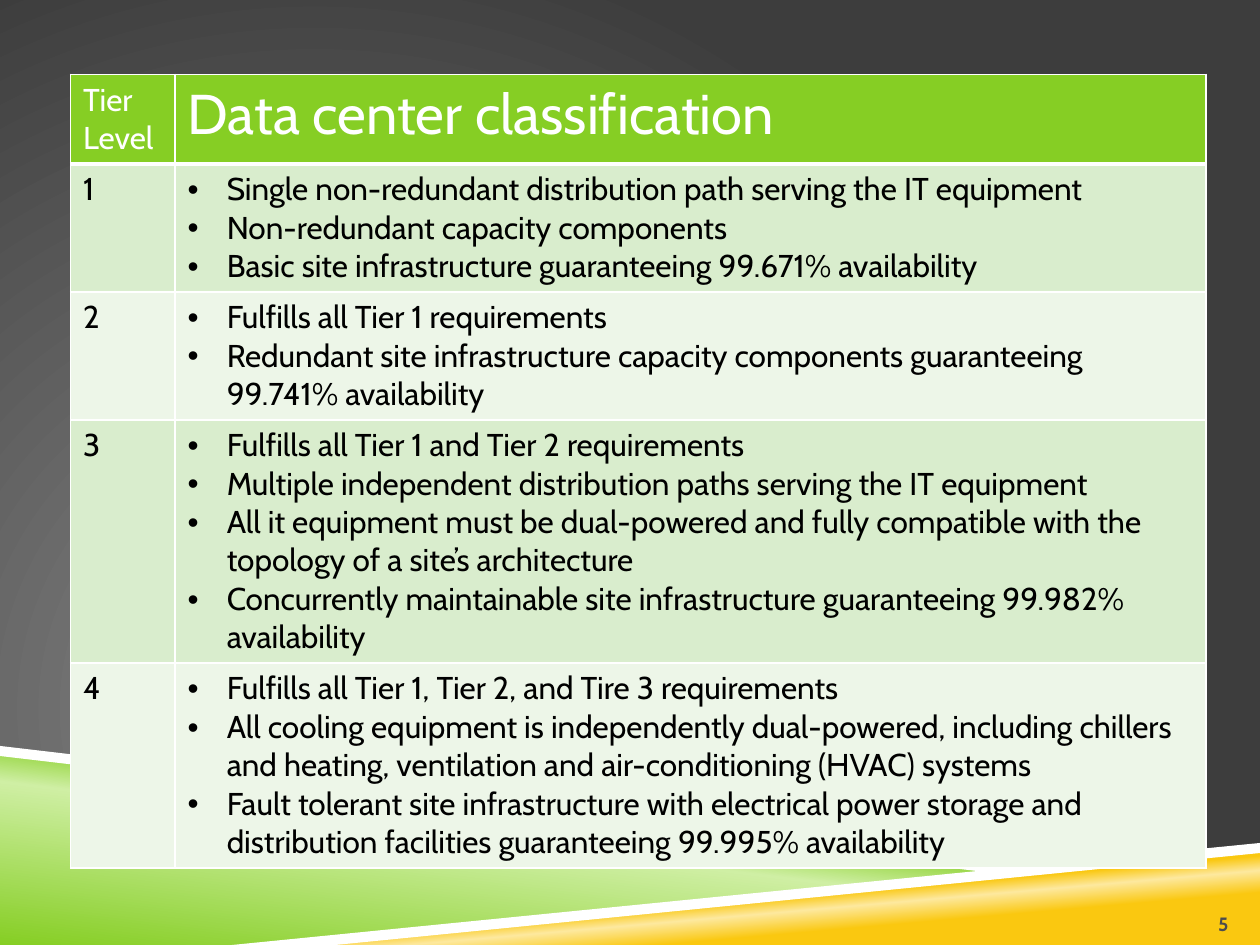
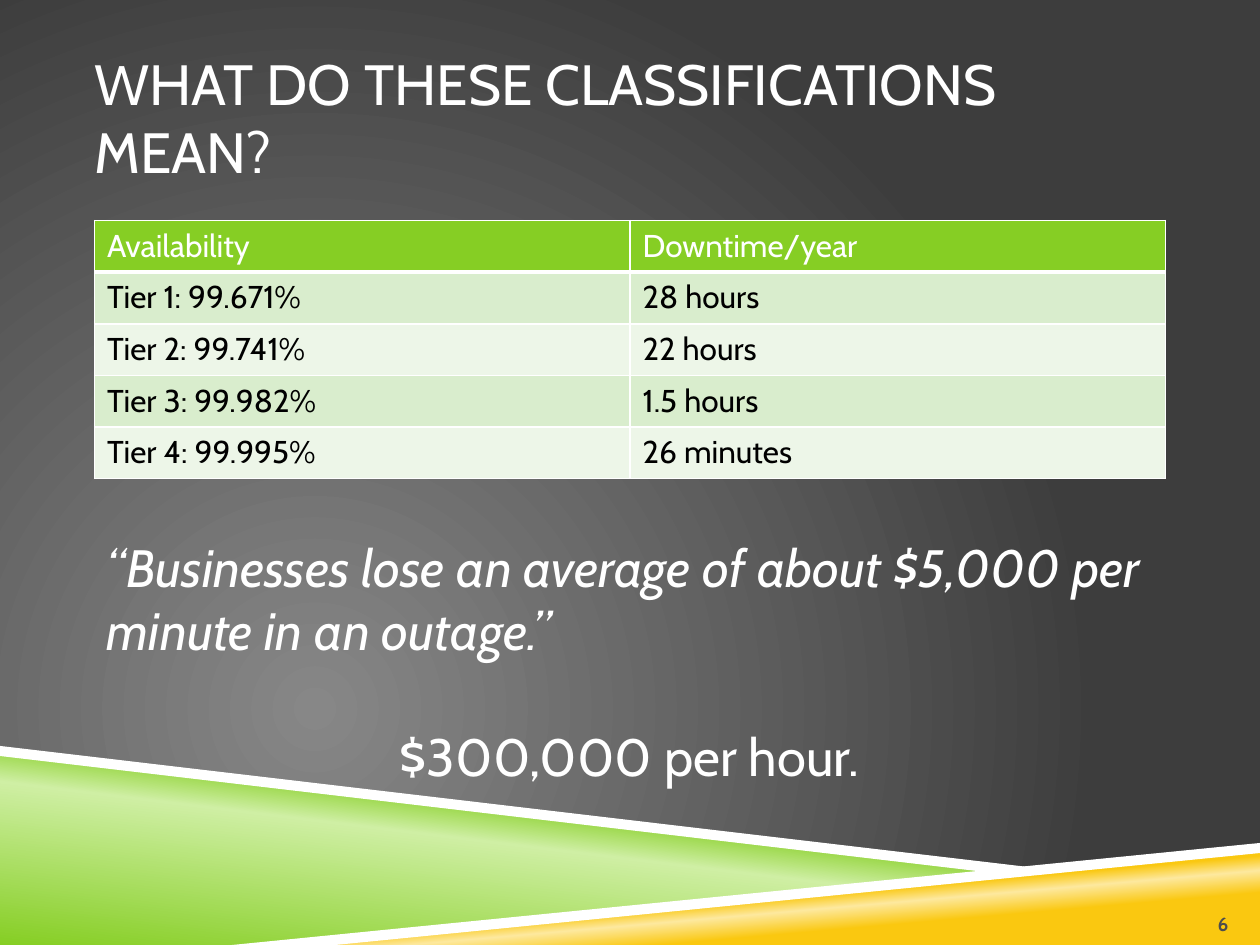
from lxml.etree import SubElement
from pptx import Presentation
from pptx.dml.color import RGBColor
from pptx.enum.text import MSO_ANCHOR, MSO_AUTO_SIZE, PP_ALIGN
from pptx.oxml import parse_xml
from pptx.oxml.ns import nsdecls, qn
from pptx.util import Inches, Pt

WHITE = RGBColor(0xFF, 0xFF, 0xFF)
BLACK = RGBColor(0x00, 0x00, 0x00)
NUMBER_GRAY = RGBColor(0x4D, 0x4D, 0x4D)
GLOW_GRAY = RGBColor(0x87, 0x87, 0x87)
DARK_GRAY = RGBColor(0x3D, 0x3D, 0x3D)
GREEN = RGBColor(0x86, 0xCE, 0x24)
PALE_GREEN = RGBColor(0xCF, 0xEF, 0xA4)
YELLOW = RGBColor(0xFA, 0xC8, 0x10)
PALE_YELLOW = RGBColor(0xFD, 0xE9, 0x9F)
ROW_TINTS = (RGBColor(0xD9, 0xED, 0xCD), RGBColor(0xED, 0xF6, 0xE8))

FIRST_NUMBER = 5
GLOW = ('<a:path path="circle"><a:fillToRect l="50000" t="100000" '
        'r="100000" b="50000"/></a:path>')
GREEN_STOPS = ((0, GREEN), (52, PALE_GREEN), (66, GREEN))
YELLOW_STOPS = ((28, YELLOW), (40, PALE_YELLOW), (48, YELLOW))
GREEN_WEDGE = ((0, 5.97), (7.92, 6.92), (2, 7.5), (0, 7.5))
YELLOW_WEDGE = ((1.98, 7.5), (10, 6.72), (10, 7.5))
FALLING_STRIPE = ((0, 5.92), (0, 6), (7.9, 6.93), (8.32, 6.9))
RISING_STRIPE = ((10, 6.69), (1.84, 7.5), (2.66, 7.5), (10, 6.77))

TIERS = (
    ("Single non-redundant distribution path serving the IT equipment",
     "Non-redundant capacity components",
     "Basic site infrastructure guaranteeing 99.671% availability"),
    ("Fulfills all Tier 1 requirements",
     "Redundant site infrastructure capacity components guaranteeing "
     "99.741% availability"),
    ("Fulfills all Tier 1 and Tier 2 requirements",
     "Multiple independent distribution paths serving the IT equipment",
     "All it equipment must be dual-powered and fully compatible with the "
     "topology of a site’s architecture",
     "Concurrently maintainable site infrastructure guaranteeing 99.982% "
     "availability"),
    ("Fulfills all Tier 1, Tier 2, and Tire 3 requirements",
     "All cooling equipment is independently dual-powered, including chillers "
     "and heating, ventilation and air-conditioning (HVAC) systems",
     "Fault tolerant site infrastructure with electrical power storage and "
     "distribution facilities guaranteeing 99.995% availability"),
)
DOWNTIMES = (
    ("Availability", "Downtime/year"),
    ("Tier 1: 99.671%", "28 hours"),
    ("Tier 2: 99.741%", "22 hours"),
    ("Tier 3: 99.982%", "1.5 hours"),
    ("Tier 4: 99.995%", "26 minutes"),
)


class Deck:
    """Builds slides that share one font, background and set of bands."""

    font_name = "Cabin"

    def __init__(self):
        self.presentation = Presentation()
        self.presentation.slide_width = Inches(10)
        self.presentation.slide_height = Inches(7.5)
        self.presentation._element.set("firstSlideNum", str(FIRST_NUMBER))
        self.slide = None

    def new_slide(self):
        blank = self.presentation.slide_layouts[6]
        self.slide = self.presentation.slides.add_slide(blank)
        self.slide.background.fill.solid()
        solid = next(self.slide._element.iter(qn("a:solidFill")))
        self.replace_fill(solid, ((0, GLOW_GRAY), (100, DARK_GRAY)), GLOW)
        self.band(GREEN_WEDGE, GREEN_STOPS, 277)
        self.band(YELLOW_WEDGE, YELLOW_STOPS, 265)
        self.band(FALLING_STRIPE)
        self.band(RISING_STRIPE)

    def replace_fill(self, solid, stops, direction):
        marks = "".join(
            f'<a:gs pos="{position * 1000}"><a:srgbClr val="{color}"/></a:gs>'
            for position, color in stops)
        gradient = parse_xml(
            f'<a:gradFill {nsdecls("a")} rotWithShape="1">'
            f'<a:gsLst>{marks}</a:gsLst>{direction}</a:gradFill>')
        solid.getparent().replace(solid, gradient)

    def band(self, corners, stops=None, angle=0):
        points = [(Inches(x), Inches(y)) for x, y in corners]
        outline = self.slide.shapes.build_freeform(*points[0])
        outline.add_line_segments(points[1:], close=True)
        wedge = outline.convert_to_shape()
        wedge.shadow.inherit = False
        wedge.line.fill.background()
        wedge.fill.solid()
        wedge.fill.fore_color.rgb = WHITE
        if stops:
            solid = wedge._element.spPr.find(qn("a:solidFill"))
            self.replace_fill(
                solid, stops, f'<a:lin ang="{angle * 60000}" scaled="0"/>')

    def style(self, paragraph, size, color, bold=False, italic=False):
        font = paragraph.font
        font.name = self.font_name
        font.size = Pt(size)
        font.color.rgb = color
        font.bold = bold
        font.italic = italic

    def text_frame(self, left, top, width, height, margins, anchor):
        frame = self.slide.shapes.add_textbox(
            Inches(left), Inches(top), Inches(width), Inches(height)).text_frame
        frame.word_wrap = True
        frame.vertical_anchor = anchor
        (frame.margin_left, frame.margin_top,
         frame.margin_right, frame.margin_bottom) = map(Inches, margins)
        return frame

    def title(self, text):
        frame = self.text_frame(0.75, 0.3, 8.5, 1.25,
                                (0, 0.05, 0, 0.05), MSO_ANCHOR.MIDDLE)
        frame.text = text
        self.style(frame.paragraphs[0], 32.4, WHITE)

    def page_number(self):
        frame = self.text_frame(9.25, 7.02, 0.5, 0.4,
                                (0, 0.05, 0, 0), MSO_ANCHOR.BOTTOM)
        number = frame.paragraphs[0]
        number.alignment = PP_ALIGN.RIGHT
        self.style(number, 11, NUMBER_GRAY, bold=True)
        shown = FIRST_NUMBER + len(self.presentation.slides) - 1
        number._p.append(parse_xml(
            f'<a:fld {nsdecls("a")} type="slidenum" '
            'id="{B6F15528-21DE-4FAA-801E-634DDDAF4B2B}">'
            f'<a:rPr lang="en-US"/><a:t>{shown}</a:t></a:fld>'))

    def quote(self, saying, conclusion):
        frame = self.text_frame(0.75, 4.2, 8.5, 2.12,
                                (0.1, 0.05, 0.1, 0.05), MSO_ANCHOR.TOP)
        frame.auto_size = MSO_AUTO_SIZE.SHAPE_TO_FIT_TEXT
        frame.text = saying
        self.style(frame.paragraphs[0], 30, WHITE, italic=True)
        closing = frame.add_paragraph()
        closing.text = conclusion
        closing.alignment = PP_ALIGN.CENTER
        closing.space_before = Pt(36)
        self.style(closing, 30, WHITE)

    def bullet(self, paragraph):
        properties = paragraph._p.get_or_add_pPr()
        properties.set("marL", str(Inches(0.31)))
        properties.set("indent", str(-Inches(0.31)))
        SubElement(properties, qn("a:buFont"), typeface="Arial")
        SubElement(properties, qn("a:buChar"), char="•")

    def borders(self, cell, bottom):
        properties = cell._tc.get_or_add_tcPr()
        widths = {"lnL": 1, "lnR": 1, "lnT": 1, "lnB": bottom}
        for place, (side, width) in enumerate(widths.items()):
            properties.insert(place, parse_xml(
                f'<a:{side} {nsdecls("a")} w="{Pt(width)}"><a:solidFill>'
                f'<a:srgbClr val="{WHITE}"/></a:solidFill></a:{side}>'))

    def cell(self, cell, content, size, color, fill, bottom):
        cell.fill.solid()
        cell.fill.fore_color.rgb = fill
        self.borders(cell, bottom)
        bulleted = isinstance(content, tuple)
        cell.text = "\n".join(content) if bulleted else content
        for paragraph in cell.text_frame.paragraphs:
            if bulleted:
                self.bullet(paragraph)
            self.style(paragraph, size, color)

    def table(self, rows, left, top, height, widths, header_height,
              header_sizes=(18, 18)):
        frame = self.slide.shapes.add_table(
            len(rows), len(widths), Inches(left), Inches(top),
            Inches(sum(widths)), Inches(height))
        table = frame.table
        table.first_row = table.horz_banding = False
        for column, width in zip(table.columns, widths):
            column.width = Inches(width)
        for index, contents in enumerate(rows):
            header = index == 0
            table.rows[index].height = Inches(header_height if header else 0.41)
            for column, content in enumerate(contents):
                self.cell(
                    table.cell(index, column), content,
                    header_sizes[column] if header else 18,
                    WHITE if header else BLACK,
                    GREEN if header else ROW_TINTS[(index - 1) % 2],
                    3 if header else 1)
        frame.height = Inches(height)


def main():
    deck = Deck()

    deck.new_slide()
    tier_rows = [("Tier\nLevel", "Data center classification")]
    tier_rows += [(str(level), needs) for level, needs in enumerate(TIERS, 1)]
    deck.table(tier_rows, 0.56, 0.59, 6.2, (0.83, 8.18), 0.48, (18, 32))
    deck.page_number()

    deck.new_slide()
    deck.title("WHAT DO THESE CLASSIFICATIONS MEAN?")
    deck.table(DOWNTIMES, 0.75, 1.75, 2.03, (4.25, 4.25), 0.41)
    deck.page_number()
    deck.quote("“Businesses lose an average of about $5,000 per minute in an "
               "outage.”", "$300,000 per hour.")

    deck.presentation.save("out.pptx")


if __name__ == "__main__":
    main()
